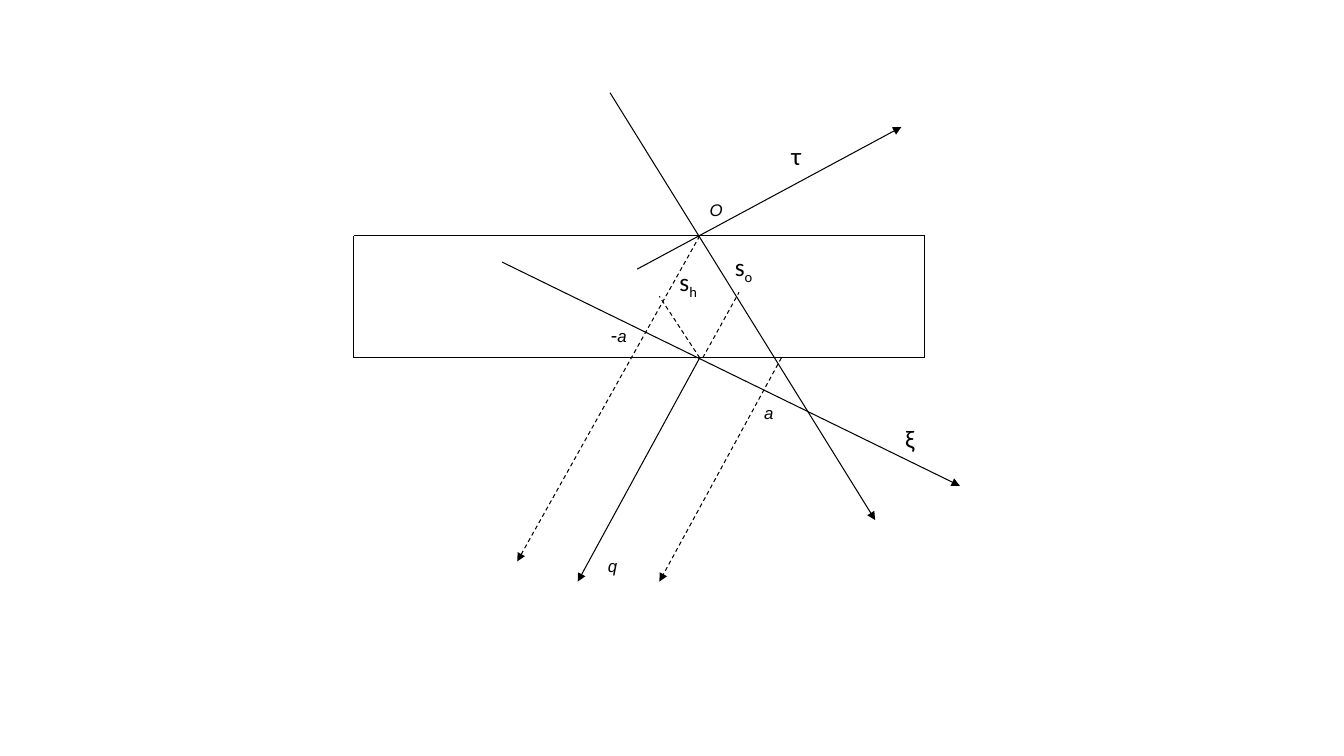
from dataclasses import dataclass

from lxml import etree
from pptx import Presentation
from pptx.dml.color import RGBColor
from pptx.enum.dml import MSO_LINE
from pptx.enum.shapes import MSO_CONNECTOR
from pptx.enum.text import MSO_AUTO_SIZE
from pptx.oxml.ns import qn
from pptx.util import Pt

STRAIGHT = MSO_CONNECTOR.STRAIGHT
DASH = MSO_LINE.DASH
FIT_SHAPE, NO_FIT = MSO_AUTO_SIZE.SHAPE_TO_FIT_TEXT, MSO_AUTO_SIZE.NONE
PX = 9144  # 100 px to the inch


@dataclass(frozen=True)
class Theme:
    ink: RGBColor = RGBColor(0, 0, 0)
    label_font: str = "Arial"
    symbol_font: str = "Calibri"
    label_size: int = 12
    minus_size: int = 14
    symbol_size: int = 18
    line_width: float = 0.75
    subscript: str = "-25000"


THEME = Theme()

# Content: crystal slab and rays, in px
SLIDE_SIZE = (1333, 750)
LEFT, TOP, RIGHT, BOTTOM = 351, 234, 917, 355
ORIGIN = (694, TOP)
EXIT = (694, BOTTOM)

CORNERS = [(LEFT, TOP), (RIGHT, TOP), (RIGHT, BOTTOM), (LEFT, BOTTOM)]
# start, end, dashed, arrow
RAYS = [
    ((605, 92), (868, 516), False, True),     # incident beam
    (ORIGIN, (513, 557), True, True),         # edge of the diffracted beam at -a
    ((775, BOTTOM), (654, 577), True, True),  # edge of the diffracted beam at a
    ((498, 260), (952, 482), False, True),    # ξ axis
    (EXIT, (654, 294), True, False),
    ((632, 267), (894, 126), False, True),    # τ axis
    (EXIT, (573, 577), False, True),          # q axis
    ((697, BOTTOM), (733, 290), True, False),
]

# Runs are (text, format)
ITALIC = dict(italic=True)
MINUS = dict(size=THEME.minus_size)
SYMBOL = dict(font=THEME.symbol_font, size=THEME.symbol_size)
SUBSCRIPT = dict(SYMBOL, baseline=THEME.subscript)
# box, runs, wrap, grow
LABELS = [
    ((596, 315, 61, 40), [("-", MINUS), ("a", ITALIC)], True, False),
    ((748, 395, 40, 40), [("a", ITALIC)], True, False),
    ((694, 193, 61, 40), [("O", ITALIC)], True, False),
    ((719, 244, 39, 40), [("s", SYMBOL), ("o", SUBSCRIPT)], False, True),
    ((664, 259, 61, 61), [("s", SYMBOL), ("h", SUBSCRIPT)], True, False),
    ((775, 134, 31, 40), [("τ", SYMBOL)], True, True),
    ((888, 415, 33, 40), [("ξ", SYMBOL)], False, True),
    ((593, 546, 40, 40), [("q", ITALIC)], True, False),
]


def add_line(slide, start, end, dashed=False, arrow=False):
    connector = slide.shapes.add_connector(
        STRAIGHT, *(value * PX for value in (*start, *end)))
    line = connector.line
    line.color.rgb = THEME.ink
    line.width = Pt(THEME.line_width)
    if dashed:
        line.dash_style = DASH
    properties = connector._element.spPr
    if arrow:
        outline = properties.find(qn("a:ln"))
        etree.SubElement(outline, qn("a:tailEnd"), type="triangle")
    etree.SubElement(properties, qn("a:effectLst"))


def add_run(paragraph, text, font=THEME.label_font, size=THEME.label_size,
            italic=False, baseline=None):
    run = paragraph.add_run()
    run.text = text
    run.font.name = font
    run.font.size = Pt(size)
    run.font.italic = italic
    run.font.color.rgb = THEME.ink
    if baseline:
        run.font._element.set("baseline", baseline)


def add_label(slide, box, runs, wrap=True, grow=False):
    shape = slide.shapes.add_textbox(*(value * PX for value in box))
    frame = shape.text_frame
    frame.word_wrap = wrap
    frame.auto_size = FIT_SHAPE if grow else NO_FIT
    for text, style in runs:
        add_run(frame.paragraphs[0], text, **style)


def main():
    presentation = Presentation()
    presentation.slide_width, presentation.slide_height = (
        value * PX for value in SLIDE_SIZE)
    slide = presentation.slides.add_slide(presentation.slide_layouts[6])

    # Slab outline
    for start, end in zip(CORNERS, CORNERS[1:] + CORNERS[:1]):
        add_line(slide, start, end)

    # Beams and axes
    for start, end, dashed, arrow in RAYS:
        add_line(slide, start, end, dashed=dashed, arrow=arrow)

    # Labels
    for box, runs, wrap, grow in LABELS:
        add_label(slide, box, runs, wrap=wrap, grow=grow)

    presentation.save("out.pptx")


if __name__ == "__main__":
    main()
